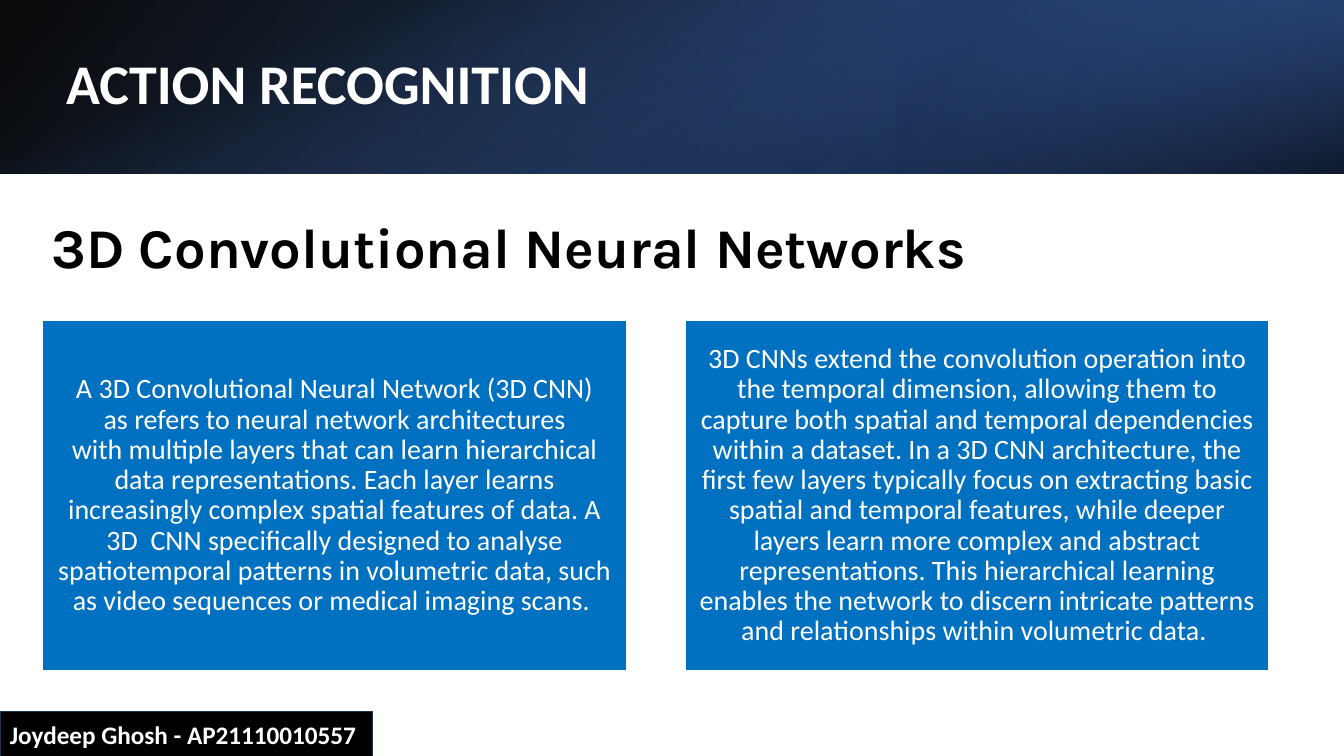
"""Build the slide on 3D convolutional neural networks for action recognition."""
from lxml import etree
from pptx import Presentation
from pptx.dml.color import RGBColor as Rgb
from pptx.enum.shapes import MSO_SHAPE as Shape
from pptx.enum.text import MSO_ANCHOR as Anchor, MSO_AUTO_SIZE as Fit, PP_ALIGN as Align
from pptx.oxml.ns import qn
from pptx.util import Pt

WIDE, HIGH, BAND = 960, 540, 124
TIE, HARD = "~", chr(160)
COLORS = {"black": "000000", "white": "FFFFFF", "navy": "2F5597", "deep": "203864",
          "sky": "4472C4", "box": "0070C0", "edge": "1E3256"}

TITLE = "ACTION RECOGNITION"
HEAD = "3D Convolutional Neural Networks"
NAME = "Joydeep Ghosh - AP21110010557"
NOTES = [
    "A 3D Convolutional Neural Network~(3D CNN) as~refers to neural~network architectures "
    "with~multiple~layers that can~learn~hierarchical data representations.~Each layer learns "
    "increasingly~complex~spatial~features of~data.~A 3D~ CNN specifically designed to analyse "
    "spatiotemporal patterns in volumetric data,~such as video sequences or medical imaging scans.~",
    "3D CNNs extend the convolution operation into the temporal dimension, allowing them to "
    "capture both~spatial and temporal dependencies within a dataset. In a 3D CNN architecture, "
    "the first few layers typically~focus on extracting basic spatial and temporal features, "
    "while deeper layers learn more complex and~abstract representations. This hierarchical "
    "learning enables the network to discern intricate patterns and~relationships within "
    "volumetric data.~",
]
LAYERS = [
    {"at": (0, 0, WIDE, BAND), "turn": 0, "flip": True, "angle": 140,
     "stops": [(0, "black", 96), (100, "navy", 100)]},
    {"at": (WIDE * 2 / 3, 0, WIDE / 3, BAND), "turn": 180, "flip": True, "angle": 320,
     "stops": [(19, "deep", 68), (100, "sky", 79)]},
    {"at": ((WIDE - BAND) / 2, (BAND - WIDE) / 2, BAND, WIDE), "turn": 90, "flip": False,
     "angle": 340, "stops": [(23, "sky", 0), (99, "black", 74)]},
]


def color(name):
    return Rgb.from_string(COLORS[name])


def place(shape, at):
    shape.left, shape.top, shape.width, shape.height = (Pt(n) for n in at)


def block(slide, at, fill=None, line=None):
    shape = slide.shapes.add_shape(Shape.RECTANGLE, *(Pt(n) for n in at))
    shape.shadow.inherit = False
    if fill:
        shape.fill.solid()
        shape.fill.fore_color.rgb = color(fill)
    if line:
        shape.line.color.rgb = color(line)
        shape.line.width = Pt(1)
    else:
        shape.line.fill.background()
    return shape


def shade(slide, layer):
    shape = block(slide, layer["at"])
    shape.rotation = layer["turn"]
    props = shape._element.spPr
    frame = props.find(qn("a:xfrm"))
    if layer["flip"]:
        frame.set("flipH", "1")
    grad = etree.Element(qn("a:gradFill"), rotWithShape="1")
    stops = etree.SubElement(grad, qn("a:gsLst"))
    for pos, name, alpha in layer["stops"]:
        stop = etree.SubElement(stops, qn("a:gs"), pos=str(pos * 1000))
        tone = etree.SubElement(stop, qn("a:srgbClr"), val=COLORS[name])
        etree.SubElement(tone, qn("a:alpha"), val=str(alpha * 1000))
    etree.SubElement(grad, qn("a:lin"), ang=str(layer["angle"] * 60000), scaled="0")
    props.find(qn("a:prstGeom")).addnext(grad)


def write(shape, text, size, tint="white", font="Calibri", bold=True,
          align=Align.LEFT, anchor=Anchor.MIDDLE, space=1.0):
    frame = shape.text_frame
    frame.text = text.replace(TIE, HARD)
    frame.word_wrap = True
    frame.auto_size = Fit.NONE
    frame.vertical_anchor = anchor
    para = frame.paragraphs[0]
    para.alignment = align
    para.line_spacing = space
    face = para.runs[0].font
    face.name, face.size, face.bold = font, Pt(size), bold
    face.color.rgb = color(tint)
    return frame


def main():
    deck = Presentation()
    deck.slide_width, deck.slide_height = Pt(WIDE), Pt(HIGH)
    slide = deck.slides.add_slide(deck.slide_layouts[5])
    for layer in LAYERS:
        shade(slide, layer)

    title = slide.shapes.title
    place(title, (40, 27.5, 790, 69))
    write(title, TITLE, 40, space=0.9)
    slide.shapes._spTree.append(title._element)

    head = slide.shapes.add_textbox(Pt(29.75), Pt(148), Pt(899), Pt(55.5))
    write(head, HEAD, 40, "black", "Karla", anchor=Anchor.TOP)

    left, top, width, height, gap = 30.5, 229, 417, 250, 42
    for col, note in enumerate(NOTES):
        box = block(slide, (left + col * (width + gap), top, width, height), "box", "white")
        frame = write(box, note, 20, bold=False, align=Align.CENTER, space=0.9)
        frame.margin_left = frame.margin_right = Pt(6)
        frame.margin_top = frame.margin_bottom = Pt(6)

    tag = block(slide, (0, 508.25, 266, 32), "black", "edge")
    write(tag, NAME, 18)
    deck.save("out.pptx")


if __name__ == "__main__":
    main()
